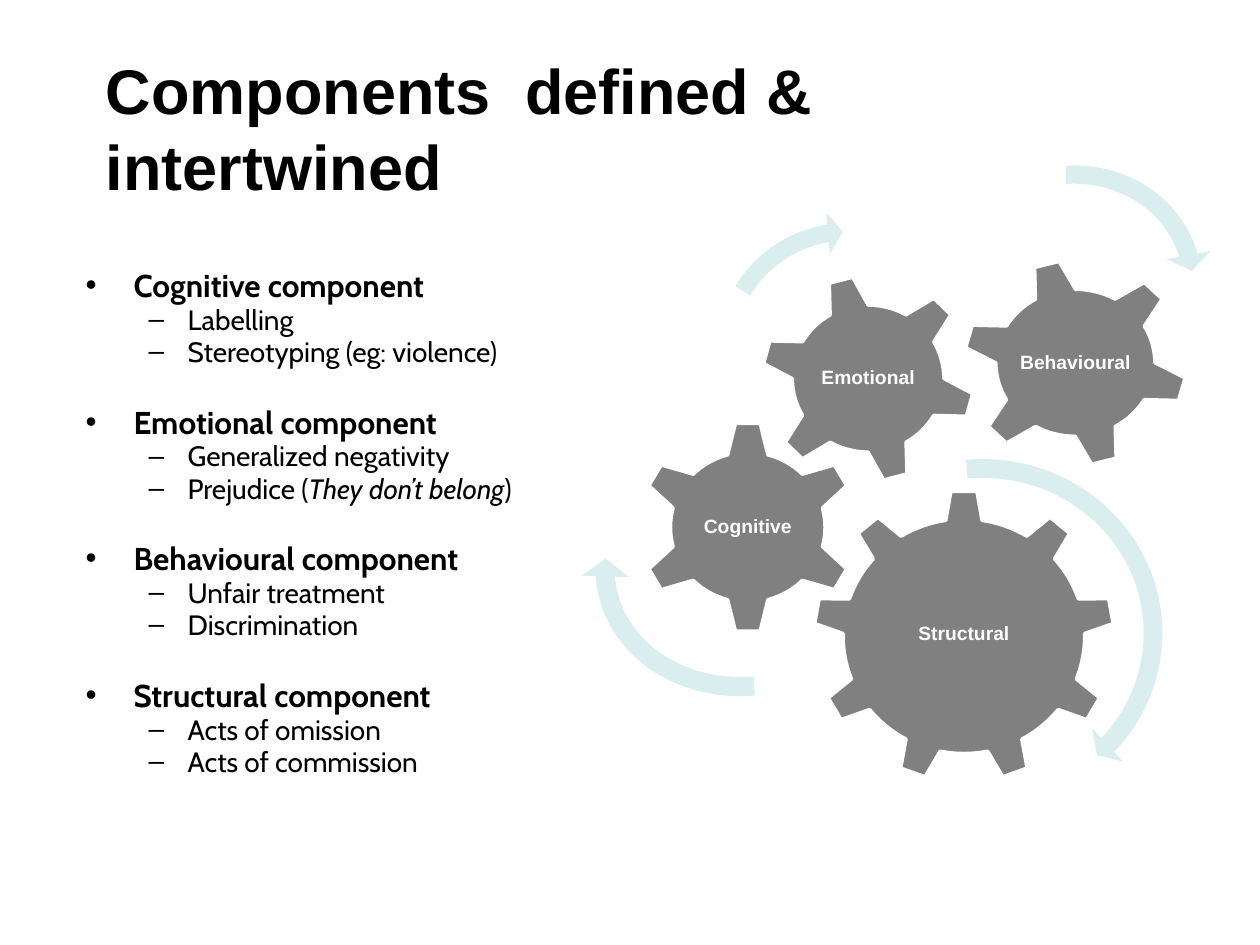
from math import atan2, cos, hypot, pi, radians, sin

from pptx import Presentation
from pptx.dml.color import RGBColor
from pptx.enum.shapes import MSO_SHAPE
from pptx.enum.text import MSO_ANCHOR, MSO_AUTO_SIZE, PP_ALIGN
from pptx.oxml.ns import qn
from pptx.util import Inches, Pt

BLACK = RGBColor(0x00, 0x00, 0x00)
WHITE = RGBColor(0xFF, 0xFF, 0xFF)
GREY = RGBColor(0x80, 0x80, 0x80)
PALE_TEAL = RGBColor(0xDA, 0xED, 0xEF)

CLOCKWISE = MSO_SHAPE.CIRCULAR_ARROW
COUNTER = MSO_SHAPE.LEFT_CIRCULAR_ARROW
TOP, MIDDLE = MSO_ANCHOR.TOP, MSO_ANCHOR.MIDDLE
LEFT, CENTER = PP_ALIGN.LEFT, PP_ALIGN.CENTER
FIXED_SIZE = MSO_AUTO_SIZE.NONE

# The slide is a grid of 100 columns by 75 rows
COLUMNS, ROWS = 100, 75

# Tooth profiles: half width and radius at the tip, then at the root
SMALL_TOOTH = ((0.95, 8.25), (1.55, 5.75))
LARGE_TOOTH = ((1.0, 11.5), (1.4, 9.2))
ARC_STEPS = 8

COMPONENTS = {
    "Cognitive component": [["Labelling"], ["Stereotyping (eg: violence)"]],
    "Emotional component": [
        ["Generalized negativity"],
        ["Prejudice (", ("They don’t belong", {"italic": True}), ")"],
    ],
    "Behavioural component": [["Unfair treatment"], ["Discrimination"]],
    "Structural component": [["Acts of omission"], ["Acts of commission"]],
}


def gear_outline(teeth, turn, tooth):
    """Points of a gear around the origin, clockwise from the first tooth."""
    (tip_half, tip), (root_half, root) = tooth
    pitch = 2 * pi / teeth
    root_radius = hypot(root_half, root)
    root_angle = atan2(root_half, root)
    for number in range(teeth):
        angle = radians(turn) + number * pitch
        for side in (-tip_half, tip_half):
            yield (side * cos(angle) + tip * sin(angle),
                   side * sin(angle) - tip * cos(angle))
        for step in range(ARC_STEPS + 1):
            share = step / ARC_STEPS
            along = angle + root_angle + share * (pitch - 2 * root_angle)
            yield root_radius * sin(along), -root_radius * cos(along)


class SlideBuilder:
    title_font = {"name": "Arial", "size": Pt(36), "bold": True}
    head_font = {"name": "Cabin", "size": Pt(18), "bold": True}
    item_font = {"name": "Cabin", "size": Pt(16), "bold": False}
    label_font = {"name": "Arial", "size": Pt(11), "bold": True}
    # Level: bullet, left margin and hanging indent in columns, space before
    bullets = {0: ("•", 3.8, 3.8, Pt(24)), 1: ("–", 8.1, 3.1, Pt(3))}

    def __init__(self, deck):
        self.column = deck.slide_width / COLUMNS
        self.row = deck.slide_height / ROWS
        self.page = deck.slides.add_slide(deck.slide_layouts[1])

    def across(self, columns):
        return round(columns * self.column)

    def down(self, rows):
        return round(rows * self.row)

    def apply(self, target, values):
        for name, value in values.items():
            setattr(target, name, value)

    def place(self, box, left, top, width, height):
        self.apply(box, {"left": self.across(left), "top": self.down(top),
                         "width": self.across(width), "height": self.down(height)})
        self.apply(box.text_frame, {"word_wrap": True, "auto_size": FIXED_SIZE,
                                    "vertical_anchor": TOP})

    def add_spans(self, para, pieces, font, color):
        for piece in pieces:
            text, extra = (piece, {}) if isinstance(piece, str) else piece
            span = para.add_run()
            span.text = text
            self.apply(span.font, {**font, **extra})
            span.font.color.rgb = color

    def title(self, text, *area):
        box = self.page.shapes.title
        self.place(box, *area)
        para = box.text_frame.paragraphs[0]
        para.alignment = LEFT
        self.add_spans(para, [text], self.title_font, BLACK)

    def bullet(self, frame, pieces, level, font):
        first = not frame.paragraphs[0].runs
        para = frame.paragraphs[0] if first else frame.add_paragraph()
        mark, margin, hanging, before = self.bullets[level]
        properties = para._p.get_or_add_pPr()
        properties.set("marL", str(self.across(margin)))
        properties.set("indent", str(-self.across(hanging)))
        sign = properties.makeelement(qn("a:buChar"), {"char": mark})
        properties.append(sign)
        self.apply(para, {"level": level, "line_spacing": 0.8,
                          "space_before": Pt(0) if first else before})
        self.add_spans(para, pieces, font, BLACK)

    def outline_list(self, groups, *area):
        box = self.page.placeholders[1]
        self.place(box, *area)
        for heading, items in groups.items():
            self.bullet(box.text_frame, [heading], 0, self.head_font)
            for pieces in items:
                self.bullet(box.text_frame, pieces, 1, self.item_font)

    def paint(self, shape, color):
        shape.shadow.inherit = False
        shape.fill.solid()
        shape.fill.fore_color.rgb = color

    def gear(self, label, center, stretch, teeth=6, turn=0, tooth=SMALL_TOOTH):
        points = [(self.across(center[0] + x * stretch[0]),
                   self.down(center[1] + y * stretch[1]))
                  for x, y in gear_outline(teeth, turn, tooth)]
        builder = self.page.shapes.build_freeform(*points[0])
        builder.add_line_segments(points[1:], close=True)
        shape = builder.convert_to_shape()
        self.paint(shape, GREY)
        shape.line.color.rgb = WHITE
        shape.line.width = Pt(2)
        frame = shape.text_frame
        self.apply(frame, {"margin_left": 0, "margin_right": 0, "margin_top": 0,
                           "margin_bottom": 0, "word_wrap": True,
                           "vertical_anchor": MIDDLE})
        para = frame.paragraphs[0]
        self.apply(para, {"alignment": CENTER, "line_spacing": 0.9})
        self.add_spans(para, [label], self.label_font, WHITE)

    def arrow(self, kind, left, top, width, height, turn, adjustments):
        shape = self.page.shapes.add_shape(
            kind, self.across(left), self.down(top),
            self.across(width), self.down(height))
        for number, value in enumerate(adjustments):
            shape.adjustments[number] = value
        shape.rotation = turn
        if kind == COUNTER:
            shape._element.spPr.find(qn("a:xfrm")).set("flipV", "1")
        self.paint(shape, PALE_TEAL)
        shape.line.fill.background()


def main():
    deck = Presentation()
    deck.slide_width, deck.slide_height = Inches(10), Inches(7.5)
    slide = SlideBuilder(deck)

    # Title and list
    slide.title("Components  defined & intertwined", 7.4, 3.6, 73.2, 9.5)
    slide.outline_list(COMPONENTS, 5.8, 21.2, 51.7, 47.7)

    # Gears and the arrows that turn them, from back to front
    slide.arrow(COUNTER, 72.7, 12.2, 23.9, 22.3, 157.1,
                (0.065, 4.3, 104.89, 148.38, 0.08))
    slide.gear("Structural", (76.5, 50.5), (1.03, 1), teeth=9, tooth=LARGE_TOOTH)
    slide.gear("Cognitive", (59.35, 41.85), (1.03, 1))
    slide.gear("Emotional", (68.9, 30.05), (1.01, 0.98), turn=-15)
    slide.arrow(CLOCKWISE, 62.7, 35.4, 30.6, 29.7, 0,
                (0.05, 2.99, 25.13, 158.68, 0.06))
    slide.arrow(CLOCKWISE, 55.8, 16.9, 24, 23.2, 36.4,
                (0.06, 3.94, 133.14, 105.08, 0.07))
    slide.gear("Behavioural", (85.35, 28.8), (1.06, 0.98), turn=-15)
    slide.arrow(COUNTER, 46.1, 32.9, 26.6, 23.4, 349,
                (0.065, 4.3, 104.89, 156.98, 0.08))

    deck.save("out.pptx")


if __name__ == "__main__":
    main()
